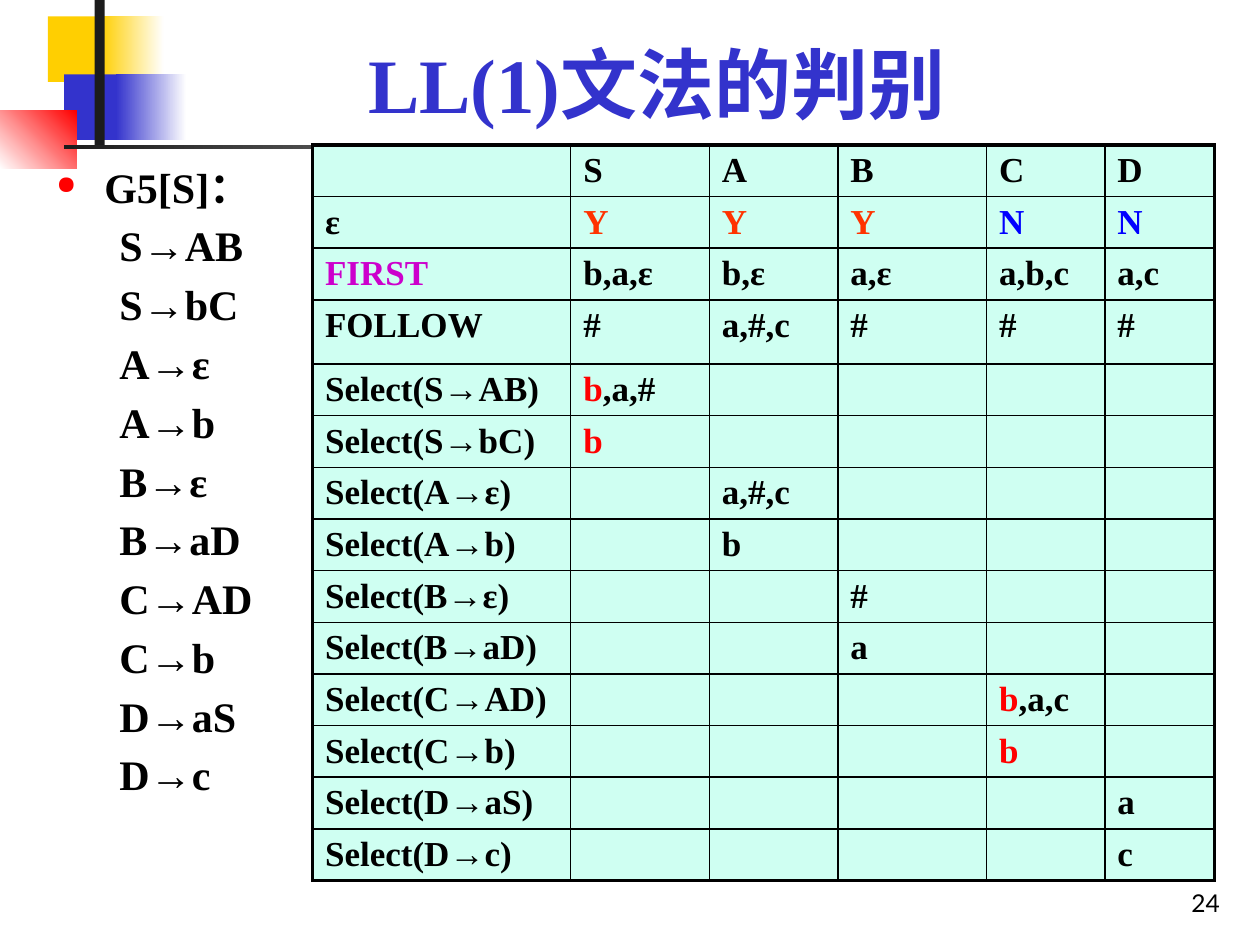
from lxml.etree import SubElement
from pptx import Presentation
from pptx.dml.color import RGBColor
from pptx.enum.shapes import MSO_SHAPE as Shape
from pptx.enum.text import MSO_ANCHOR as Anchor, PP_ALIGN as Align
from pptx.oxml.ns import qn
from pptx.util import Inches, Pt

COLORS = {"black": "000000", "white": "FFFFFF", "ink": "1C1C1C", "gold": "FFCF01",
          "indigo": "3333CC", "red": "FF0000", "orange": "FF3300", "blue": "0000FF",
          "purple": "CC00CC", "mint": "CFFFF2"}
SERIF = "Times New Roman"
RULES = ["S→AB", "S→bC", "A→ε", "A→b", "B→ε", "B→aD", "C→AD", "C→b", "D→aS", "D→c"]
SYMBOLS = "SABCD"
SELECTS = ["b,a,#", "b", "a,#,c", "b", "#", "a", "b,a,c", "b", "a", "c"]
CONFLICTS = "SC"
COLUMN_WIDTHS = [2.05, 1.1, 1.02, 1.18, 0.94, 0.87]
ROW_HEIGHT, FOLLOW_HEIGHT = 0.41, 0.51


def rgb(name):
    """Return the named colour."""
    return RGBColor.from_string(COLORS[name])


def add_text(para, text, size=20, color="black", bold=True, font=SERIF):
    """Append one formatted span to a paragraph."""
    span = para.add_run()
    span.text = text
    span.font.size = Pt(size)
    span.font.name = font
    span.font.bold = bold
    span.font.color.rgb = rgb(color)


def add_block(page, box, color, fade=None, angle=0):
    """Add a borderless rectangle, plain or fading to a second colour."""
    block = page.shapes.add_shape(Shape.RECTANGLE, *map(Inches, box))
    block.shadow.inherit = False
    block.line.fill.background()
    if fade is None:
        block.fill.solid()
        block.fill.fore_color.rgb = rgb(color)
        return
    block.fill.gradient()
    block.fill.gradient_angle = angle
    for stop, name in zip(block.fill.gradient_stops, (color, fade)):
        stop.color.rgb = rgb(name)


def add_ornament(page, left, top):
    """Draw the corner blocks and the two crossing bars."""
    blocks = [
        (0.38, 0.13, 0.67, 0.52, "gold"),
        (0.8, 0.13, 0.5, 0.52, "gold", "white"),
        (0.51, 0.59, 0.64, 0.52, "indigo"),
        (0.92, 0.59, 0.56, 0.52, "indigo", "white"),
        (0, 0.88, 0.61, 0.46, "white", "red", 45),
        (0.75, 0, 0.08, 1.15, "ink"),
        (0.51, 1.15, 9, 0.03, "ink", "white"),
    ]
    for x, y, width, height, *paint in blocks:
        add_block(page, (left + x, top + y, width, height), *paint)


def set_title(page, box, text):
    """Move and format the title placeholder."""
    title = page.shapes.title
    title.left, title.top, title.width, title.height = map(Inches, box)
    title.text_frame.vertical_anchor = Anchor.BOTTOM
    para = title.text_frame.paragraphs[0]
    para.alignment = Align.CENTER
    add_text(para, text, size=44, color="indigo")


def add_frame(page, box, anchor=Anchor.TOP):
    """Add a wrapping text box and return its text frame."""
    frame = page.shapes.add_textbox(*map(Inches, box)).text_frame
    frame.word_wrap = True
    frame.vertical_anchor = anchor
    return frame


def set_indent(para, margin, indent, bullet=None):
    """Set a hanging indent and an optional red bullet."""
    props = para._p.get_or_add_pPr()
    props.set("marL", str(Inches(margin)))
    props.set("indent", str(Inches(indent)))
    if bullet is None:
        SubElement(props, qn("a:buNone"))
        return
    color = SubElement(props, qn("a:buClr"))
    SubElement(color, qn("a:srgbClr"), val=COLORS["red"])
    SubElement(props, qn("a:buSzPct"), val="60000")
    SubElement(props, qn("a:buChar"), char=bullet)


def add_grammar(page, box):
    """List the grammar name and its productions."""
    frame = add_frame(page, box)
    heading = frame.paragraphs[0]
    set_indent(heading, 0.38, -0.38, bullet="●")
    heading.alignment = Align.JUSTIFY
    add_text(heading, "G5[S]：", size=24)
    for rule in RULES:
        para = frame.add_paragraph()
        set_indent(para, 0.81, -0.31)
        para.alignment = Align.JUSTIFY
        para.space_before = Pt(4.8)
        add_text(para, rule, size=24)


def table_rows():
    """Return table rows whose cells are lists of (text, colour) spans."""
    def plain(*texts):
        return [[(text, "black")] for text in texts]

    rows = [
        [[]] + plain(*SYMBOLS),
        plain("ε") + [[(flag, "orange" if flag == "Y" else "blue")] for flag in "YYYNN"],
        [[("FIRST", "purple")]] + plain("b,a,ε", "b,ε", "a,ε", "a,b,c", "a,c"),
        plain("FOLLOW", "#", "a,#,c", "#", "#", "#"),
    ]
    for rule, members in zip(RULES, SELECTS):
        cells = plain(f"Select({rule})") + [[] for _ in SYMBOLS]
        spans = [(members, "black")]
        if rule[0] in CONFLICTS:
            spans = [(members[:1], "red"), (members[1:], "black")]
        cells[1 + SYMBOLS.index(rule[0])] = [span for span in spans if span[0]]
        rows.append(cells)
    return rows


def format_cell(cell, outer):
    """Fill a cell and rule its sides, thicker on the outer ones."""
    props = cell._tc.get_or_add_tcPr()
    for side in "LRTB":
        width = Pt(2.25 if side in outer else 1)
        line = SubElement(props, qn(f"a:ln{side}"), w=str(width))
        fill = SubElement(line, qn("a:solidFill"))
        SubElement(fill, qn("a:srgbClr"), val=COLORS["black"])
    cell.fill.solid()
    cell.fill.fore_color.rgb = rgb("mint")
    cell.margin_bottom = Inches(0.01)
    cell.text_frame.paragraphs[0].font.size = Pt(20)


def add_sets_table(page, left, top):
    """Add the table of FIRST, FOLLOW and Select sets."""
    rows = table_rows()
    heights = [ROW_HEIGHT] * len(rows)
    heights[3] = FOLLOW_HEIGHT
    box = (left, top, sum(COLUMN_WIDTHS), sum(heights))
    table = page.shapes.add_table(len(rows), len(COLUMN_WIDTHS), *map(Inches, box)).table
    table.first_row = table.horz_banding = False
    for column, width in zip(table.columns, COLUMN_WIDTHS):
        column.width = Inches(width)
    for r, (row, height) in enumerate(zip(rows, heights)):
        table.rows[r].height = Inches(height)
        for c, spans in enumerate(row):
            cell = table.cell(r, c)
            edges = {"L": c == 0, "R": c == len(row) - 1,
                     "T": r == 0, "B": r == len(rows) - 1}
            format_cell(cell, [side for side, outer in edges.items() if outer])
            for text, color in spans:
                add_text(cell.text_frame.paragraphs[0], text, color=color)


def add_page_number(page, box, number):
    """Write the page number at the lower right."""
    para = add_frame(page, box, anchor=Anchor.BOTTOM).paragraphs[0]
    para.alignment = Align.RIGHT
    add_text(para, number, size=14, bold=False, font="Lato")


def main():
    """Build and save the deck."""
    deck = Presentation()
    deck.slide_width, deck.slide_height = Inches(10), Inches(7.5)
    page = deck.slides.add_slide(deck.slide_layouts[5])
    add_ornament(page, 0, 0)
    set_title(page, (1.26, 0.23, 7.91, 0.84), "LL(1)文法的判别")
    add_grammar(page, (0.35, 1.23, 1.97, 5.43))
    add_sets_table(page, 2.48, 1.15)
    add_page_number(page, (7.7, 6.83, 2.08, 0.5), "24")
    deck.save("out.pptx")


if __name__ == "__main__":
    main()
